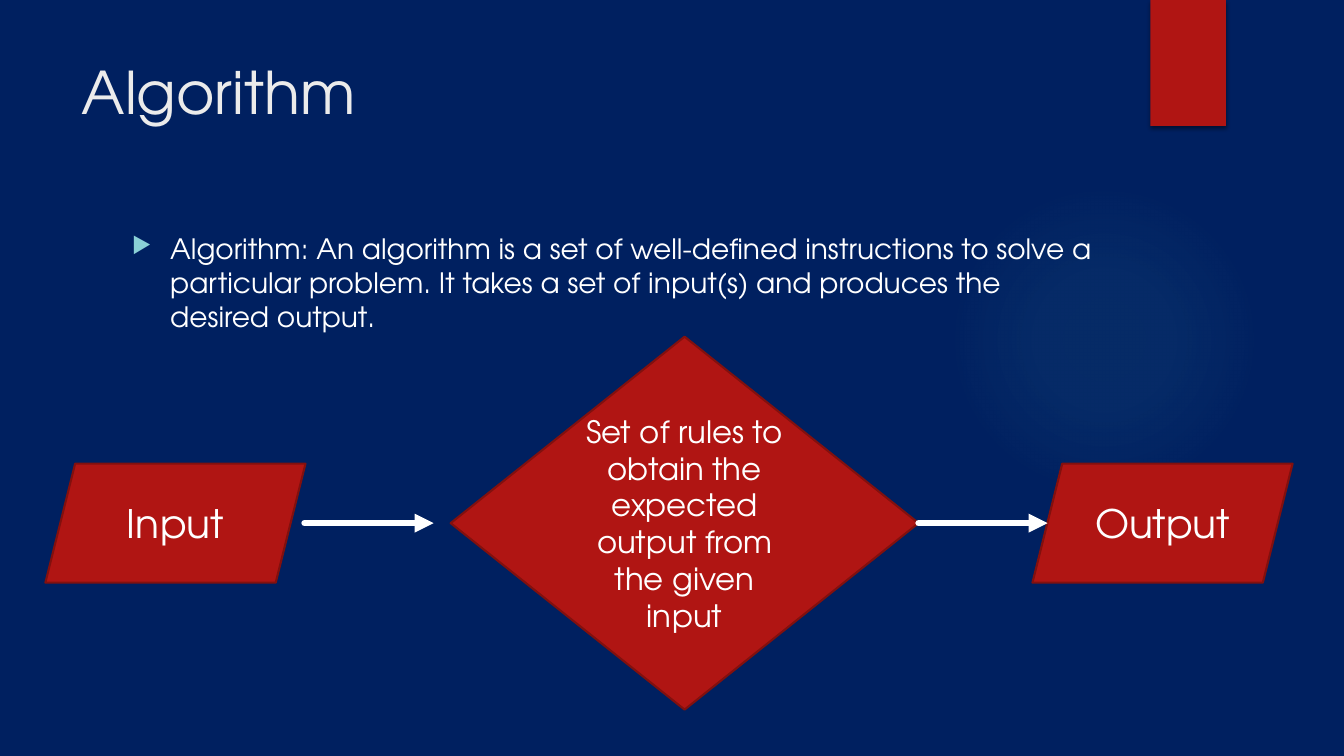
from lxml import etree
from pptx import Presentation
from pptx.dml.color import RGBColor
from pptx.enum import shapes, text
from pptx.oxml import parse_xml
from pptx.oxml.ns import nsdecls, qn
from pptx.util import Inches, Pt

# Content
FONT = "TeX Gyre Adventor"
NAVY, RED, DARK_RED, WHITE = "002060", "B01513", "82100E", "FFFFFF"
TITLE = "Algorithm"
DEFINITION = ("Algorithm: An algorithm is a set of well-defined instructions to solve a "
              "particular problem. It takes a set of input(s) and produces the desired output.")
# name: (preset, left, width, height, text size, text)
STEPS = {
    "input": ("PARALLELOGRAM", 0.45, 2.58, 1.18, 28, "Input"),
    "output": ("PARALLELOGRAM", 10.24, 2.58, 1.18, 28, "Output"),
    "rules": ("DIAMOND", 4.47, 4.64, 3.7, 22,
              "Set of rules to obtain the expected output from the given input"),
}
FLOW_Y = 5.19
ARROW_LENGTH = 1.28
ARROW_STARTS = {"rules": 9.11, "input": 3.02}
GLOW = [(0, 7), (36, 6), (69, 0)]  # position and opacity in percent

presentation = Presentation()
presentation.slide_width, presentation.slide_height = Inches(13.33), Inches(7.5)
slide = presentation.slides.add_slide(presentation.slide_layouts[6])


def color(value):
    return RGBColor.from_string(value)


def add_shape(preset, left, top, width, height, fill, line=None):
    shape = slide.shapes.add_shape(getattr(shapes.MSO_SHAPE, preset), Inches(left),
                                   Inches(top), Inches(width), Inches(height))
    shape.shadow.inherit = False
    shape.fill.solid()
    shape.fill.fore_color.rgb = color(fill)
    if line:
        shape.line.color.rgb = color(line)
        shape.line.width = Pt(1.5)
    else:
        shape.line.fill.background()
    return shape


def write(shape, words, size, fill=WHITE):
    shape.text_frame.word_wrap = True
    paragraph = shape.text_frame.paragraphs[0]
    paragraph.text = words
    paragraph.font.name, paragraph.font.size = FONT, Pt(size)
    paragraph.font.color.rgb = color(fill)
    return paragraph


def add_text(left, top, width, height, words, size, fill=WHITE):
    box = slide.shapes.add_textbox(Inches(left), Inches(top), Inches(width), Inches(height))
    return write(box, words, size, fill)


# Background with a faint round glow
slide.background.fill.solid()
slide.background.fill.fore_color.rgb = color(NAVY)
glow = add_shape("OVAL", 9.41, 1.83, 3.08, 3.08, NAVY)
stops = "".join(f'<a:gs pos="{position * 1000}"><a:srgbClr val="50B9C1">'
                f'<a:alpha val="{opacity * 1000}"/></a:srgbClr></a:gs>'
                for position, opacity in GLOW)
glow_properties = glow._element.spPr
glow_properties.replace(glow_properties.find(qn("a:solidFill")), parse_xml(
    f'<a:gradFill {nsdecls("a")}><a:gsLst>{stops}</a:gsLst><a:path path="circle">'
    '<a:fillToRect l="50000" t="50000" r="50000" b="50000"/></a:path></a:gradFill>'))

# Red ribbon with a soft shadow
ribbon = add_shape("RECTANGLE", 11.41, 0, 0.75, 1.25, RED)
ribbon._element.spPr.find(qn("a:effectLst")).append(parse_xml(
    f'<a:outerShdw {nsdecls("a")} blurRad="{Pt(3)}" dist="{Pt(2)}" dir="5400000" '
    'rotWithShape="0"><a:srgbClr val="000000"><a:alpha val="45000"/></a:srgbClr></a:outerShdw>'))

# Title and bulleted definition
add_text(0.71, 0.5, 10.29, 1.53, TITLE, 42, "EBEBEB")
definition = add_text(1.21, 2.25, 9.78, 1.38, DEFINITION, 20)
definition.space_before = Pt(10)
bullet = definition._p.get_or_add_pPr()
bullet.set("marL", str(Inches(0.38)))
bullet.set("indent", str(Inches(-0.38)))
bullet_parts = parse_xml(
    f'<a:pPr {nsdecls("a")}><a:buClr><a:srgbClr val="8AD0D6"/></a:buClr>'
    '<a:buSzPct val="80000"/><a:buChar char="▶"/></a:pPr>')
default_font = bullet.find(qn("a:defRPr"))
for part in list(bullet_parts):
    default_font.addprevious(part)

# Flow steps, all centred on one line
steps = {}
for name, (preset, left, width, height, size, words) in STEPS.items():
    step = add_shape(preset, left, FLOW_Y - height / 2, width, height, RED, DARK_RED)
    step.text_frame.vertical_anchor = text.MSO_ANCHOR.MIDDLE
    write(step, words, size).alignment = text.PP_ALIGN.CENTER
    steps[name] = step

# Arrows between the steps
for name, start in ARROW_STARTS.items():
    arrow = slide.shapes.add_connector(
        shapes.MSO_CONNECTOR.STRAIGHT, Inches(start), Inches(FLOW_Y),
        Inches(start + ARROW_LENGTH), Inches(FLOW_Y))
    arrow.line.color.rgb = color(WHITE)
    arrow.line.width = Pt(4.5)
    outline = arrow.line._get_or_add_ln()
    outline.set("cap", "rnd")
    etree.SubElement(outline, qn("a:tailEnd"), type="triangle")
    etree.SubElement(arrow._element.spPr, qn("a:effectLst"))
    if name == "rules":
        arrow.begin_connect(steps[name], 3)

presentation.save("out.pptx")
